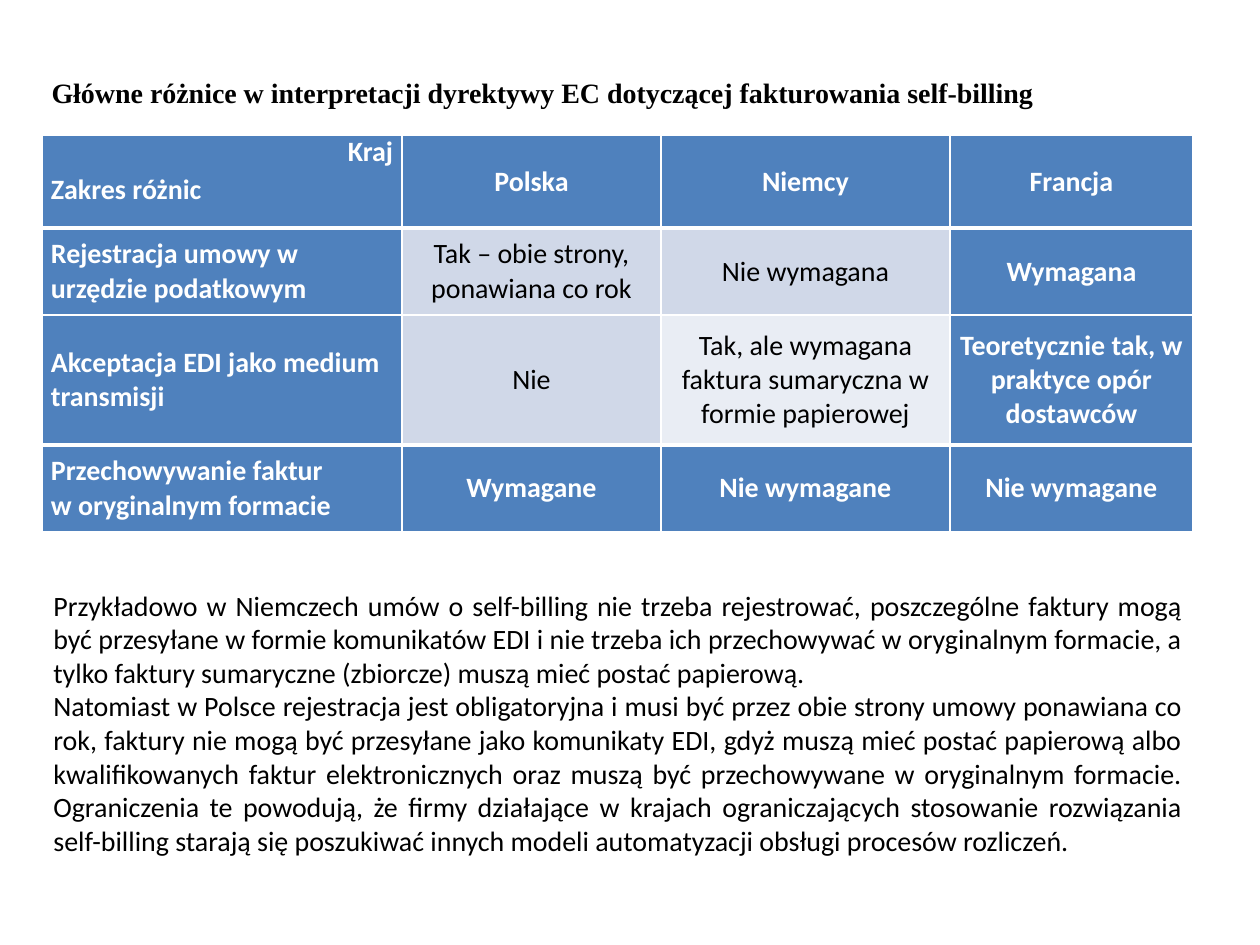
from dataclasses import dataclass

from lxml.etree import SubElement
from pptx import Presentation
from pptx.dml.color import RGBColor
from pptx.enum.text import MSO_ANCHOR as Anchor, MSO_AUTO_SIZE as AutoSize, PP_ALIGN as Align
from pptx.oxml.ns import qn
from pptx.util import Pt


@dataclass(frozen=True)
class Theme:
    heading_font: str = "Times New Roman"
    body_font: str = "Calibri"
    size: int = 16
    black: str = "000000"
    white: str = "FFFFFF"
    blue: str = "4F81BD"
    pale: str = "D0D8E8"
    paler: str = "E9EDF4"


theme = Theme()
EMU_PER_PX = 914400 / 126


def px(*lengths):
    return [round(length * EMU_PER_PX) for length in lengths]


def write(paragraph, text, align, color, bold=False, font=theme.body_font):
    paragraph.alignment = align
    for i, line in enumerate(text.split("\n")):
        if i:
            paragraph.add_line_break()
        run = paragraph.add_run()
        run.text = line
        run.font.name = font
        run.font.size = Pt(theme.size)
        run.font.bold = bold
        run.font.color.rgb = RGBColor.from_string(color)


prs = Presentation()
prs.slide_width, prs.slide_height = px(1260, 945)
slide = prs.slides.add_slide(prs.slide_layouts[5])

# Heading
heading = slide.shapes.title
heading.left, heading.top, heading.width, heading.height = px(39, 69, 1111, 47)
heading.text_frame.word_wrap = True
heading.text_frame.auto_size = AutoSize.NONE
heading.text_frame.vertical_anchor = Anchor.MIDDLE
write(heading.text_frame.paragraphs[0],
      "Główne różnice w interpretacji dyrektywy EC dotyczącej fakturowania self-billing",
      Align.JUSTIFY, theme.black, True, theme.heading_font)

# Comparison of countries
comparison = [
    ["Kraj", "Polska", "Niemcy", "Francja"],
    ["Rejestracja umowy w urzędzie podatkowym", "Tak – obie strony, ponawiana co rok",
     "Nie wymagana", "Wymagana"],
    ["Akceptacja EDI jako medium transmisji", "Nie",
     "Tak, ale wymagana faktura sumaryczna w formie papierowej",
     "Teoretycznie tak, w praktyce opór dostawców"],
    ["Przechowywanie faktur\nw oryginalnym formacie", "Wymagane", "Nie wymagane", "Nie wymagane"],
]
light_fills = {(1, 1): theme.pale, (1, 2): theme.pale, (2, 1): theme.pale, (2, 2): theme.paler}
column_widths = px(360, 259, 289, 243)
row_heights = px(93, 87, 130, 87)
last_row = len(comparison) - 1

table = slide.shapes.add_table(len(row_heights), len(column_widths), *px(42, 135),
                               sum(column_widths), sum(row_heights)).table
table.first_row = table.horz_banding = False
for column, width in zip(table.columns, column_widths):
    column.width = width
for row, height in zip(table.rows, row_heights):
    row.height = height

for r, texts in enumerate(comparison):
    # Thick rules under the header and above the last row
    top = 3 if r in (1, last_row) else 1
    bottom = 3 if r in (0, last_row - 1) else 1
    for c, text in enumerate(texts):
        cell = table.cell(r, c)
        light = (r, c) in light_fills
        color = theme.black if light else theme.white
        cell.margin_left, cell.margin_right = px(9, 9)
        cell.margin_top = cell.margin_bottom = 0
        cell.vertical_anchor = Anchor.MIDDLE
        frame = cell.text_frame
        write(frame.paragraphs[0], text, Align.LEFT if c == 0 else Align.CENTER, color, not light)
        if (r, c) == (0, 0):
            cell.vertical_anchor = Anchor.TOP
            frame.paragraphs[0].alignment = Align.RIGHT
            write(frame.add_paragraph(), "Zakres różnic", Align.JUSTIFY, color, True)
        for paragraph in frame.paragraphs:
            paragraph.space_before = paragraph.space_after = Pt(1)

        # Borders come before the fill in the cell properties
        properties = cell._tc.get_or_add_tcPr()
        for edge, points in (("lnL", 1), ("lnR", 1), ("lnT", top), ("lnB", bottom)):
            border = SubElement(properties, qn(f"a:{edge}"), w=str(Pt(points)))
            line_fill = SubElement(border, qn("a:solidFill"))
            SubElement(line_fill, qn("a:srgbClr"), val=theme.white)
        cell.fill.solid()
        cell.fill.fore_color.rgb = RGBColor.from_string(light_fills.get((r, c), theme.blue))

# Commentary
commentary = [
    "Przykładowo w Niemczech umów o self-billing nie trzeba rejestrować, poszczególne faktury "
    "mogą być przesyłane w formie komunikatów EDI i nie trzeba ich przechowywać w oryginalnym "
    "formacie, a tylko faktury sumaryczne (zbiorcze) muszą mieć postać papierową. ",
    "Natomiast w Polsce rejestracja jest obligatoryjna i musi być przez obie strony umowy "
    "ponawiana co rok, faktury nie mogą być przesyłane jako komunikaty EDI, gdyż muszą mieć "
    "postać papierową albo kwalifikowanych faktur elektronicznych oraz muszą być przechowywane "
    "w oryginalnym formacie. Ograniczenia te powodują, że firmy działające w krajach "
    "ograniczających stosowanie rozwiązania self-billing starają się poszukiwać innych modeli "
    "automatyzacji obsługi procesów rozliczeń.",
]
frame = slide.shapes.add_textbox(*px(41, 582, 1154, 285)).text_frame
frame.word_wrap = True
for i, text in enumerate(commentary):
    paragraph = frame.add_paragraph() if i else frame.paragraphs[0]
    write(paragraph, text, Align.JUSTIFY, theme.black)

prs.save("out.pptx")
